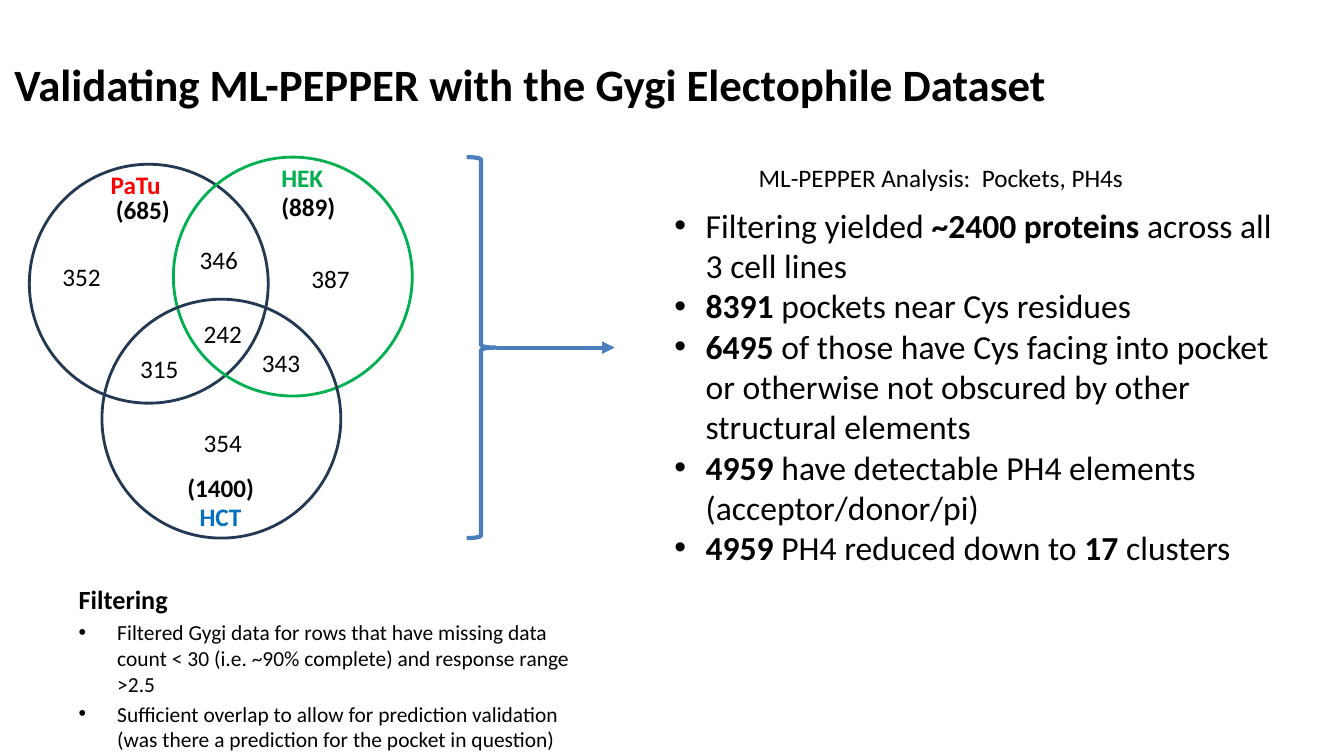
from dataclasses import dataclass
from lxml.etree import SubElement
from pptx import Presentation
from pptx.dml.color import RGBColor
from pptx.enum.shapes import MSO_CONNECTOR as Connector, MSO_SHAPE as Shape
from pptx.enum.text import MSO_ANCHOR as Anchor, MSO_AUTO_SIZE as AutoSize, PP_ALIGN as Align
from pptx.oxml.ns import qn
from pptx.util import Cm, Pt


@dataclass(frozen=True)
class Theme:
    font: str = "Calibri"
    ink: str = "000000"
    navy: str = "233953"
    red: str = "FF0000"
    green: str = "00B050"
    blue: str = "0070C0"
    flow: str = "4B7EBC"
    title: float = 32
    findings: float = 24
    heading: float = 18.7
    label: float = 18
    detail: float = 15.3


THEME = Theme()
TITLE = "Validating ML-PEPPER with the Gygi Electophile Dataset "
CIRCLES = [(0, 0.18, THEME.navy), (3.63, 0, THEME.green), (1.83, 3.58, THEME.navy)]
CELL_LINES = [("PaTu", 1.8, 0.18, 1.78, THEME.red), ("HEK", 6.1, 0, 1.57, THEME.green),
              ("HCT", 4.04, 8.56, 1.57, THEME.blue)]
TOTALS = [("(685)", 1.93, 0.81, 1.88), ("(889)", 6.1, 0.74, 1.88),
          ("(1400)", 3.73, 7.82, 2.21)]
COUNTS = [("352", 0.58, 2.49), ("387", 6.86, 2.54), ("354", 4.14, 6.68),
          ("242", 4.14, 3.94), ("343", 5.61, 4.67), ("315", 2.54, 4.83),
          ("346", 4.04, 2.06)]
FILTERS = [
    "Filtered Gygi data for rows that have missing data count < 30 "
    "(i.e. ~90% complete) and response range >2.5",
    "Sufficient overlap to allow for prediction validation "
    "(was there a prediction for the pocket in question)",
]
# Plain and bold pieces alternate, starting with plain.
FINDINGS = [
    ("Filtering yielded ", "~2400 proteins ", "across all 3 cell lines"),
    ("", "8391", " pockets near Cys residues"),
    ("", "6495", " of those have Cys facing into pocket or otherwise not "
                 "obscured by other structural elements"),
    ("", "4959", " have detectable PH4 elements (acceptor/donor/pi)"),
    ("", "4959", " PH4 reduced down to ", "17", " clusters"),
]


def set_format(target, values):
    for name, value in values.items():
        setattr(target, name, value)


def place(shape, box):
    set_format(shape, dict(zip(("left", "top", "width", "height"), map(Cm, box))))


def add_run(paragraph, text, size, color=THEME.ink, bold=False):
    run = paragraph.add_run()
    run.text = text
    set_format(run.font, {"name": THEME.font, "size": Pt(size), "bold": bold})
    run.font.color.rgb = RGBColor.from_string(color)


def set_bullet(paragraph, indent):
    """Hang a bullet by indent in cm; zero means no bullet."""
    props = paragraph._p.get_or_add_pPr()
    props.set("marL", str(Cm(indent)))
    props.set("indent", str(-Cm(indent)))
    if indent:
        SubElement(props, qn("a:buFont")).set("typeface", "Arial")
        SubElement(props, qn("a:buChar")).set("char", "•")
    else:
        SubElement(props, qn("a:buNone"))


def add_paragraph(frame, first, indent, before=0):
    paragraph = frame.paragraphs[0] if first else frame.add_paragraph()
    set_bullet(paragraph, indent)
    set_format(paragraph, {"space_before": Pt(before), "alignment": Align.LEFT})
    return paragraph


def prepare(placeholder, box, anchor=Anchor.TOP):
    place(placeholder, box)
    frame = placeholder.text_frame
    set_format(frame, {"auto_size": AutoSize.NONE, "word_wrap": True,
                       "vertical_anchor": anchor})
    return frame


def fill_title(placeholder, box):
    heading = prepare(placeholder, box, Anchor.MIDDLE).paragraphs[0]
    heading.alignment = Align.CENTER
    add_run(heading, TITLE, THEME.title, bold=True)


def fill_filtering(placeholder, box):
    frame = prepare(placeholder, box)
    add_run(add_paragraph(frame, True, 0), "Filtering", THEME.heading, bold=True)
    for rule in FILTERS:
        add_run(add_paragraph(frame, False, 0.97, 3), rule, THEME.detail)


def fill_findings(placeholder, box):
    frame = prepare(placeholder, box)
    for row, pieces in enumerate(FINDINGS):
        finding = add_paragraph(frame, row == 0, 0.79)
        for position, piece in enumerate(pieces):
            if piece:
                add_run(finding, piece, THEME.findings, bold=position % 2 == 1)


def add_label(shapes, text, box, color=THEME.ink, bold=False, wrap=False):
    label = shapes.add_textbox(*map(Cm, box))
    label.text_frame.word_wrap = wrap
    add_run(label.text_frame.paragraphs[0], text, THEME.label, color, bold)


def style_line(shape, color, width):
    shape.line.color.rgb = RGBColor.from_string(color)
    shape.line.width = Pt(width)


def add_venn(shapes, box):
    left, top, _, height = box
    diameter = height - CIRCLES[-1][1]
    for x, y, color in CIRCLES:
        circle = shapes.add_shape(
            Shape.OVAL, Cm(left + x), Cm(top + y), Cm(diameter), Cm(diameter))
        circle.shadow.inherit = False
        circle.fill.background()
        style_line(circle, color, 2)
    labels = [(*name, True) for name in CELL_LINES]
    labels += [(*total, THEME.ink, True) for total in TOTALS]
    labels += [(*count, 1.5, THEME.ink, False) for count in COUNTS]
    for text, x, y, width, color, bold in labels:
        add_label(shapes, text, (left + x, top + y, width, 1.02), color, bold)


def add_flow(shapes, box):
    """Brace on the left of the box, with an arrow from its tip to the right edge."""
    left, top, width, height = box
    brace_width = 0.73
    middle = top + height / 2
    arrow = shapes.add_connector(Connector.STRAIGHT, Cm(left + brace_width), Cm(middle),
                                 Cm(left + width), Cm(middle))
    style_line(arrow, THEME.flow, 3)
    SubElement(arrow.line._get_or_add_ln(), qn("a:tailEnd")).set("type", "triangle")
    SubElement(arrow._element.spPr, qn("a:effectLst"))
    brace = shapes.add_shape(
        Shape.RIGHT_BRACE, Cm(left), Cm(top), Cm(brace_width), Cm(height))
    brace.shadow.inherit = False
    brace.fill.background()
    style_line(brace, THEME.flow, 3)


def main():
    deck = Presentation()
    deck.slide_width, deck.slide_height = Cm(33.87), Cm(19.05)
    slide = deck.slides.add_slide(deck.slide_layouts[3])
    filtering, findings = list(slide.placeholders)[1:3]
    fill_title(slide.shapes.title, (-0.23, 0.51, 27.46, 3.18))
    fill_filtering(filtering, (1.73, 14.58, 13.49, 3.58))
    fill_findings(findings, (16.74, 5.03, 16.05, 9.5))
    add_venn(slide.shapes, (0.74, 3.96, 9.65, 9.6))
    add_label(slide.shapes, "ML-PEPPER Analysis:  Pockets, PH4s",
              (18.87, 3.96, 11.76, 1.02), wrap=True)
    add_flow(slide.shapes, (11.76, 3.96, 3.73, 9.6))
    deck.save("out.pptx")


if __name__ == "__main__":
    main()
